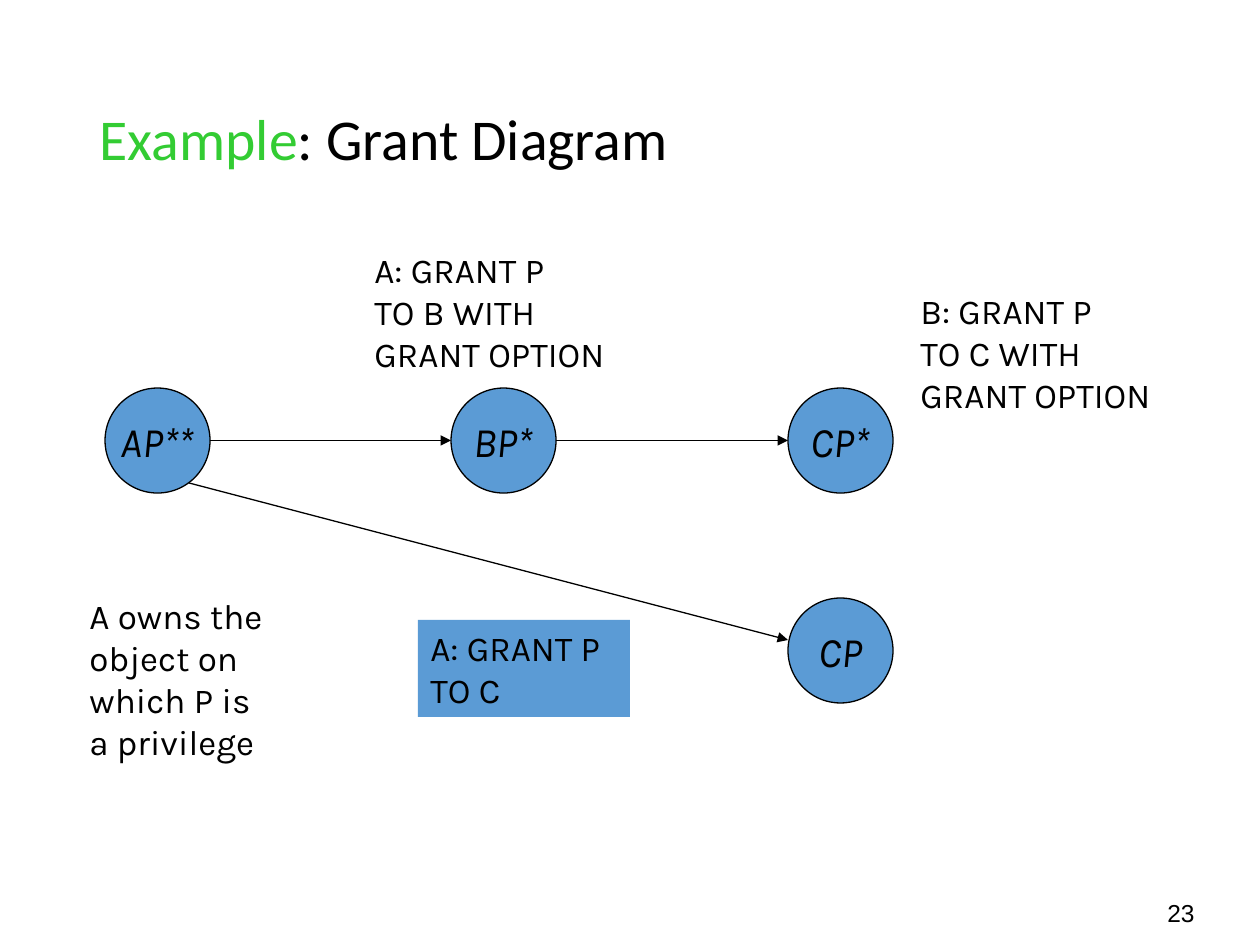
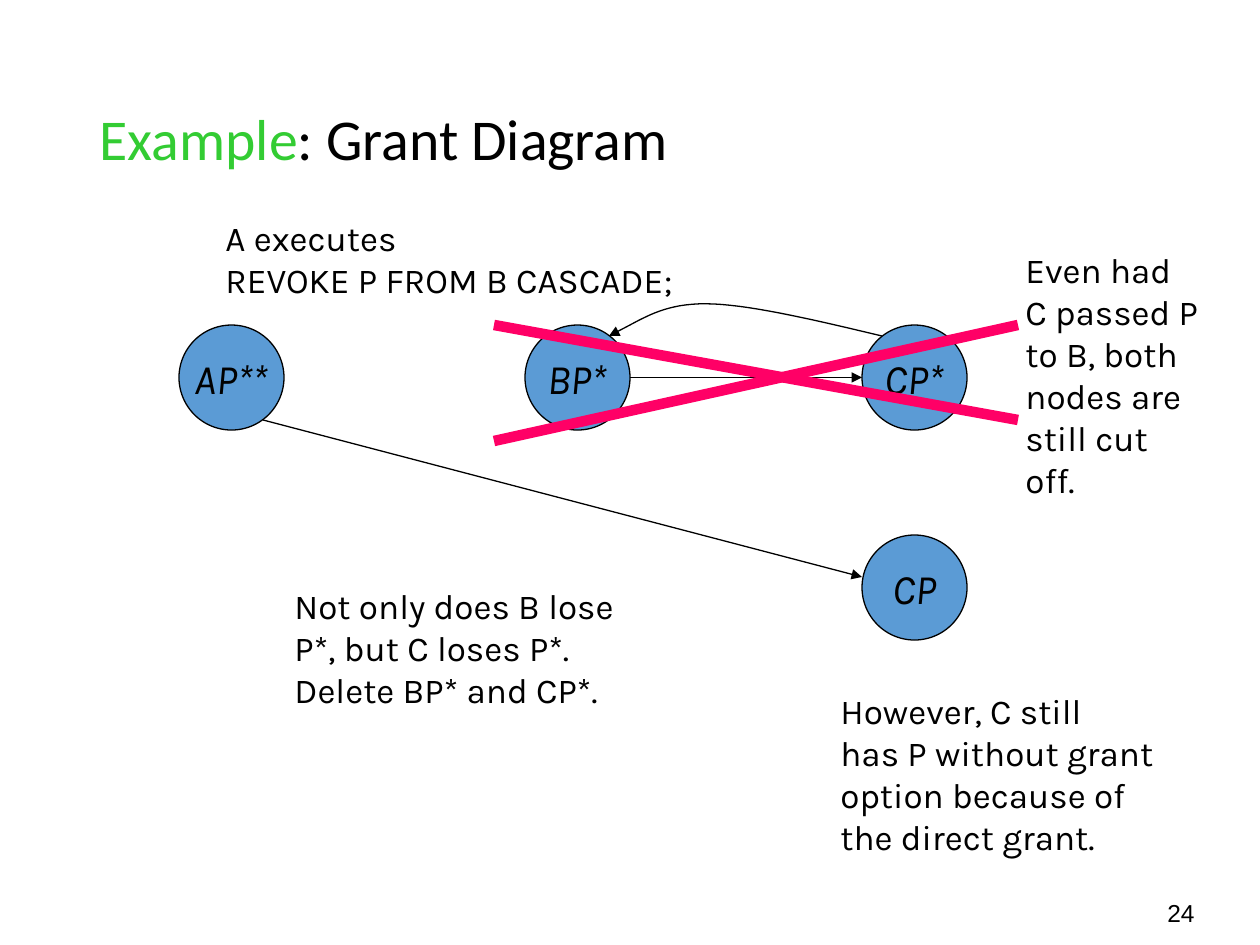
import pptx
import pptx.dml.color
import pptx.enum.shapes
import pptx.enum.text
import pptx.oxml.ns
import pptx.util
from lxml import etree

COLORS = {"ink": "000000", "accent": "33CC33", "node": "5B9BD5", "cross": "FF0066"}
FONTS = {"title": "Calibri", "body": "Karla", "number": "Arial"}
SCALE = 914400 / 126
FIRST_NUMBER = 23
NODE = 105
COLUMN_B, COLUMN_C, ROW_TWO = 346, 683, 210

ALIGN = pptx.enum.text.PP_ALIGN
ANCHOR = pptx.enum.text.MSO_ANCHOR
AUTO_SIZE = pptx.enum.text.MSO_AUTO_SIZE


def px(*lengths):
    return [round(length * SCALE) for length in lengths]


def rgb(name):
    return pptx.dml.color.RGBColor.from_string(COLORS[name])


def assign(target, **values):
    for name, value in values.items():
        setattr(target, name, value)


def add_span(para, text, font, size, color="ink", italic=False):
    span = para.add_run()
    span.text = text
    assign(span.font, name=FONTS[font], size=pptx.util.Pt(size), italic=italic)
    span.font.color.rgb = rgb(color)


def style_line(shape, color="ink", width=0.75, arrow=False):
    shape.line.color.rgb = rgb(color)
    shape.line.width = pptx.util.Pt(width)
    if arrow:
        line = shape.line._get_or_add_ln()
        etree.SubElement(line, pptx.oxml.ns.qn("a:tailEnd"), type="triangle")


def add_line(page, start, end, **style):
    connector = page.shapes.add_connector(
        pptx.enum.shapes.MSO_CONNECTOR.STRAIGHT, *px(*start, *end))
    style_line(connector, **style)
    etree.SubElement(connector._element.spPr, pptx.oxml.ns.qn("a:effectLst"))


def add_note(page, box, lines, fill=None):
    """Text box with one paragraph for each line."""
    note = page.shapes.add_textbox(*px(*box))
    if fill:
        note.fill.solid()
        note.fill.fore_color.rgb = rgb(fill)
    frame = note.text_frame
    assign(frame, word_wrap=False, auto_size=AUTO_SIZE.SHAPE_TO_FIT_TEXT)
    for index, line in enumerate(lines):
        para = frame.add_paragraph() if index else frame.paragraphs[0]
        add_span(para, line, "body", 20)


def add_node(page, left, top, label):
    node = page.shapes.add_shape(
        pptx.enum.shapes.MSO_SHAPE.OVAL, *px(left, top, NODE, NODE))
    node.shadow.inherit = False
    node.fill.solid()
    node.fill.fore_color.rgb = rgb("node")
    style_line(node)
    assign(node.text_frame, word_wrap=False, vertical_anchor=ANCHOR.MIDDLE)
    para = node.text_frame.paragraphs[0]
    para.alignment = ALIGN.CENTER
    add_span(para, label, "body", 24, italic=True)


def add_grant_graph(page, left, top):
    """Four privilege nodes and the two grants that both slides show."""
    nodes = {"AP**": (0, 0), "BP*": (COLUMN_B, 0),
             "CP*": (COLUMN_C, 0), "CP": (COLUMN_C, ROW_TWO)}
    for label, (x, y) in nodes.items():
        add_node(page, left + x, top + y, label)
    middle = top + NODE / 2
    add_line(page, (left + COLUMN_B + NODE, middle), (left + COLUMN_C, middle), arrow=True)
    add_line(page, (left + 84, top + 95), (left + COLUMN_C, top + 252), arrow=True)


def bezier(start, control_a, control_b, end, steps=16):
    points = []
    for step in range(1, steps + 1):
        t = step / steps
        weights = ((1 - t) ** 3, 3 * t * (1 - t) ** 2, 3 * t * t * (1 - t), t ** 3)
        points.append(tuple(
            sum(w * value for w, value in zip(weights, values))
            for values in zip(start, control_a, control_b, end)))
    return points


def add_return_grant(page, left, top):
    """Curved arrow from CP* back to BP*."""
    start, crest, end, tip = [(left + x, top + y) for x, y in
                              ((703, 11), (535, -21), (451, 0), (430, 11))]
    points = bezier(start, (left + 640, top - 4), (left + 577, top - 19), crest)
    points += bezier(crest, (left + 493, top - 23), (left + 472, top - 11), end)
    builder = page.shapes.build_freeform(*px(*start))
    builder.add_line_segments([px(*point) for point in points], close=False)
    curve = builder.convert_to_shape()
    curve.shadow.inherit = False
    curve.fill.background()
    style_line(curve)
    add_line(page, end, tip, arrow=True)


def add_page(deck, number):
    page = deck.slides.add_slide(deck.slide_layouts.get_by_name("Title Only"))
    title = page.shapes.title
    title.left, title.top, title.width, title.height = px(87, 50, 1087, 183)
    assign(title.text_frame, vertical_anchor=ANCHOR.MIDDLE, auto_size=AUTO_SIZE.NONE)
    para = title.text_frame.paragraphs[0]
    assign(para, alignment=ALIGN.LEFT, line_spacing=0.9)
    add_span(para, "Example", "title", 33, "accent")
    add_span(para, ": Grant Diagram", "title", 33)

    footer = page.shapes.add_textbox(*px(1155, 892, 73, 43))
    footer.text_frame.word_wrap = True
    add_span(footer.text_frame.paragraphs[0], str(number), "number", 14)
    return page


def fill_grant_page(page, left, top):
    add_grant_graph(page, left, top)
    middle = top + NODE / 2
    add_line(page, (left + NODE, middle), (left + COLUMN_B, middle), arrow=True)
    add_note(page, (left - 28, top + 200, 207, 182),
             ["A owns the", "object on", "which P is", "a privilege"])
    add_note(page, (left + 257, top - 146, 283, 139),
             ["A: GRANT P", "TO B WITH", "GRANT OPTION"])
    add_note(page, (left + 803, top - 105, 283, 139),
             ["B: GRANT P", "TO C WITH", "GRANT OPTION"])
    add_note(page, (left + 313, top + 232, 212, 97), ["A: GRANT P", "TO C"], fill="node")


def fill_revoke_page(page, left, top):
    add_grant_graph(page, left, top)
    add_note(page, (left + 34, top - 115, 499, 97),
             ["A executes", "REVOKE P FROM B CASCADE;"])
    add_note(page, (left + 649, top + 358, 348, 182),
             ["However, C still", "has P without grant",
              "option because of", "the direct grant."])
    add_note(page, (left + 103, top + 253, 360, 139),
             ["Not only does B lose", "P*, but C loses P*.", "Delete BP* and CP*."])
    for start_y, end_y in ((0, 95), (116, 0)):
        add_line(page, (left + 315, top + start_y), (left + 839, top + end_y),
                 color="cross", width=6)
    add_return_grant(page, left, top)
    add_note(page, (left + 834, top - 83, 205, 223),
             ["Even had", "C passed P", "to B, both", "nodes are", "still cut off."])


def main():
    deck = pptx.Presentation()
    deck.slide_width, deck.slide_height = px(1260, 945)
    fill_grant_page(add_page(deck, FIRST_NUMBER), 105, 388)
    fill_revoke_page(add_page(deck, FIRST_NUMBER + 1), 179, 325)
    deck.save("out.pptx")


if __name__ == "__main__":
    main()
